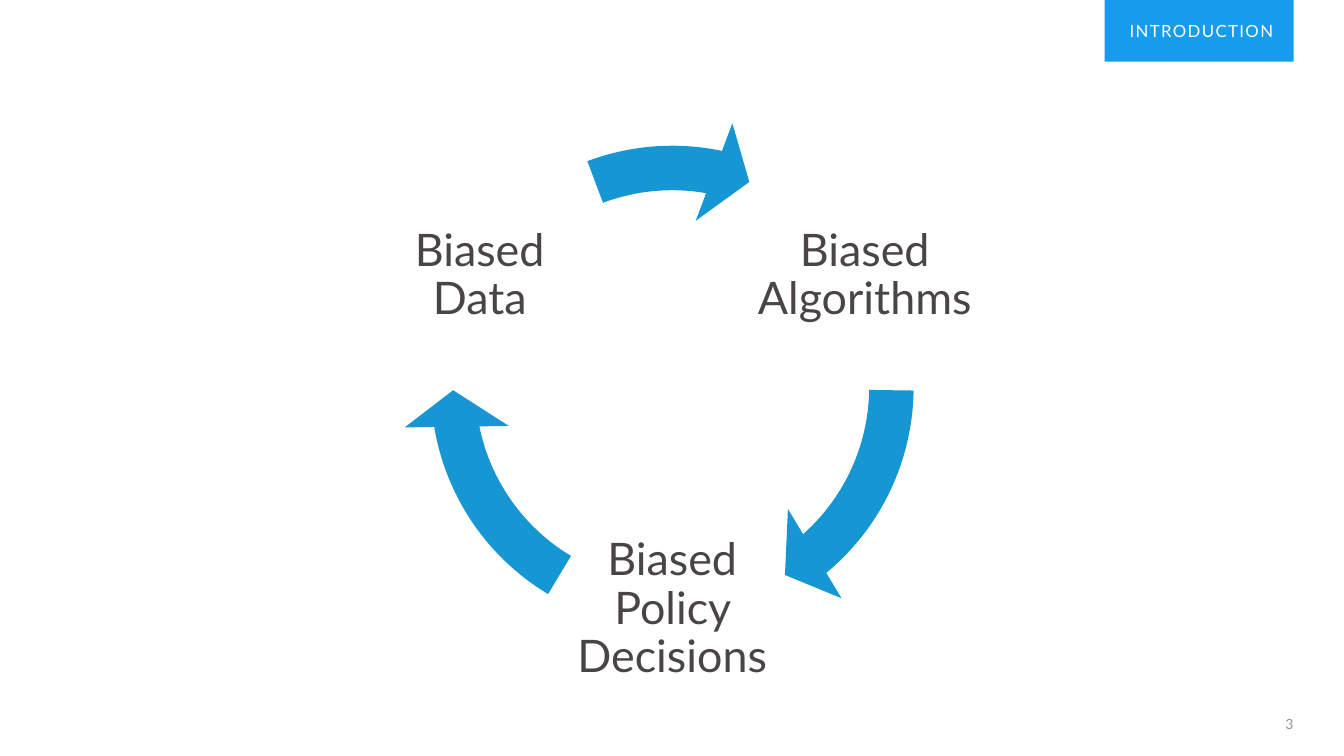
import math

import pptx
import pptx.dml.color
import pptx.enum.shapes
import pptx.enum.text
import pptx.util

Pt = pptx.util.Pt
Align = pptx.enum.text.PP_ALIGN

TAG_BLUE = pptx.dml.color.RGBColor(0x16, 0x9C, 0xEC)
ARROW_BLUE = pptx.dml.color.RGBColor(0x16, 0x96, 0xD2)
TEXT_GRAY = pptx.dml.color.RGBColor(0x49, 0x45, 0x46)
NUMBER_GRAY = pptx.dml.color.RGBColor(0x95, 0x94, 0x94)
WHITE = pptx.dml.color.RGBColor(0xFF, 0xFF, 0xFF)

FONT = "Lato"
CYCLE_STEPS = [
    ("Biased Algorithms", -30, 0.82, 49.45),
    ("Biased Policy Decisions", 90, 120.96, 169.59),
    ("Biased Data", 210, 249.41, 281),
]


def write_text(shape, text, size, color, align, inset=0, line_spacing=1.0, tracking=0, wrap=True):
    """Fill a shape with one formatted, vertically centred paragraph."""
    frame = shape.text_frame
    frame.word_wrap = wrap
    frame.auto_size = pptx.enum.text.MSO_AUTO_SIZE.NONE
    frame.vertical_anchor = pptx.enum.text.MSO_ANCHOR.MIDDLE
    frame.margin_left = frame.margin_right = Pt(inset)
    frame.margin_top = frame.margin_bottom = Pt(inset)
    paragraph = frame.paragraphs[0]
    paragraph.alignment = align
    paragraph.line_spacing = line_spacing
    paragraph.space_before = Pt(0)
    run = paragraph.add_run()
    run.text = text
    run.font.name = FONT
    run.font.size = Pt(size)
    run.font.bold = False
    run.font.color.rgb = color
    if tracking:
        run._r.get_or_add_rPr().set("spc", str(tracking * 100))


def place_section_tag(slide, left, top, width, height):
    """Turn the body placeholder into the section tag."""
    tag = slide.placeholders[1]
    tag.left, tag.top, tag.width, tag.height = Pt(left), Pt(top), Pt(width), Pt(height)
    tag.fill.solid()
    tag.fill.fore_color.rgb = TAG_BLUE
    write_text(tag, "INTRODUCTION", 12, WHITE, Align.RIGHT, inset=14.4, tracking=1, wrap=False)


def add_cycle_arrow(slide, left, top, size, start, end):
    """Add a circular arrow running clockwise between two angles in degrees."""
    arrow = slide.shapes.add_shape(
        pptx.enum.shapes.MSO_SHAPE.CIRCULAR_ARROW, Pt(left), Pt(top), Pt(size), Pt(size))
    arrow.shadow.inherit = False
    arrow.fill.solid()
    arrow.fill.fore_color.rgb = ARROW_BLUE
    arrow.line.fill.background()
    head_angle = 9.59
    arrow.adjustments[0] = 0.082
    for index, degrees in enumerate((head_angle, end, start), start=1):
        arrow.adjustments[index] = degrees * 0.6
    arrow.adjustments[4] = 0.096


def add_cycle(slide, left, top, size):
    """Place labels evenly around a ring, each followed by an arrow."""
    center_x, center_y = left + size / 2, top + size / 2
    radius, label_size = size * 0.41, size * 0.422
    for text, angle, start, end in CYCLE_STEPS:
        label_x = center_x + radius * math.cos(math.radians(angle))
        label_y = center_y + radius * math.sin(math.radians(angle))
        label = slide.shapes.add_textbox(
            Pt(label_x - label_size / 2), Pt(label_y - label_size / 2),
            Pt(label_size), Pt(label_size))
        write_text(label, text, 32, TEXT_GRAY, Align.CENTER, inset=3, line_spacing=0.9)
        add_cycle_arrow(slide, left, top, size, start, end)


def add_slide_number(slide, left, top, width, height):
    """Add the slide number at the right edge of its box."""
    number = slide.shapes.add_textbox(Pt(left), Pt(top), Pt(width), Pt(height))
    write_text(number, "3", 10, NUMBER_GRAY, Align.RIGHT)


def main():
    """Build and save the slide."""
    presentation = pptx.Presentation()
    presentation.slide_width, presentation.slide_height = Pt(960), Pt(540)
    slide = presentation.slides.add_slide(presentation.slide_layouts.get_by_name("Section Header"))
    title = slide.shapes.title._element
    title.getparent().remove(title)
    add_slide_number(slide, 708, 509, 216, 16.5)
    place_section_tag(slide, 789, 0, 135, 44)
    add_cycle(slide, 286.5, 82.8, 387.4)
    presentation.save("out.pptx")


if __name__ == "__main__":
    main()
